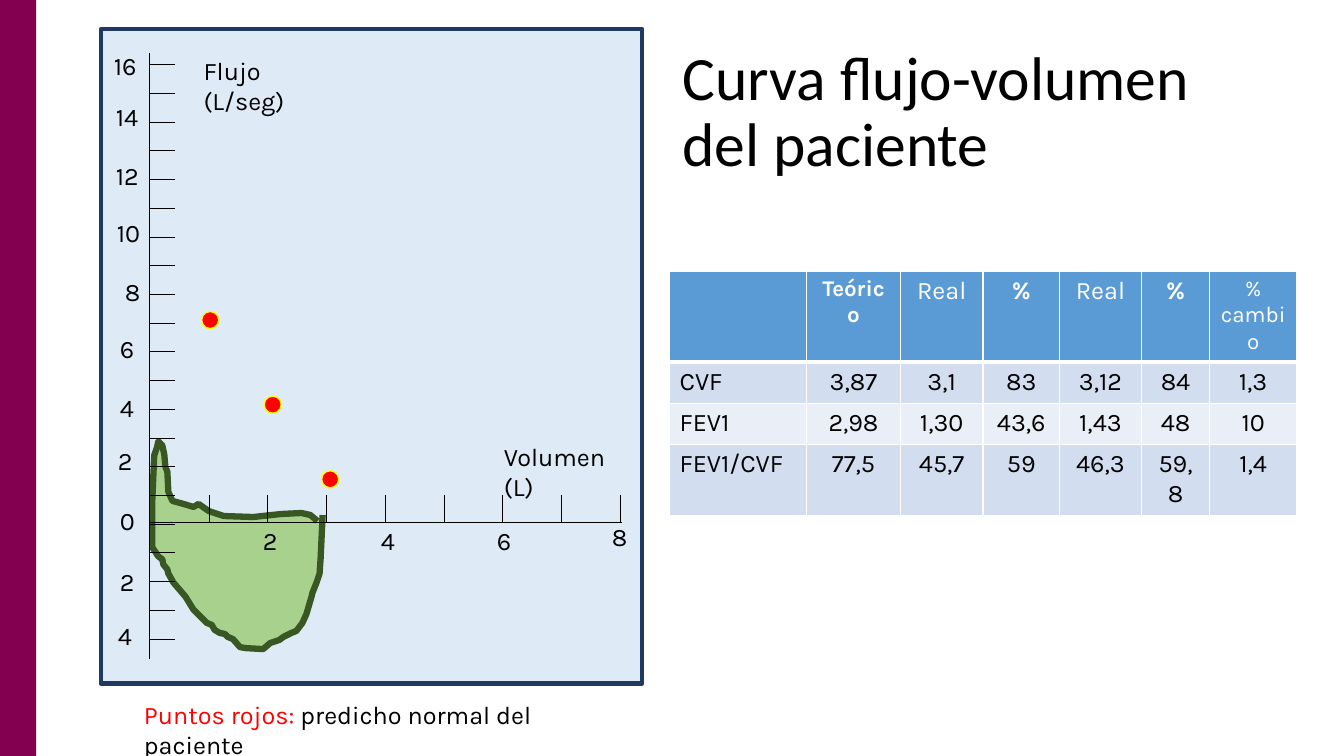
"""Builds a slide with a patient's flow-volume curve and a spirometry table."""
from lxml import etree
from pptx import Presentation
from pptx.dml.color import RGBColor
from pptx.enum.shapes import MSO_CONNECTOR, MSO_SHAPE
from pptx.enum.text import MSO_ANCHOR, MSO_AUTO_SIZE, PP_ALIGN
from pptx.oxml.ns import qn
from pptx.util import Pt

RECT, OVAL = MSO_SHAPE.RECTANGLE, MSO_SHAPE.OVAL
STRAIGHT = MSO_CONNECTOR.STRAIGHT
MIDDLE, GROW = MSO_ANCHOR.MIDDLE, MSO_AUTO_SIZE.SHAPE_TO_FIT_TEXT
LEFT, CENTER = PP_ALIGN.LEFT, PP_ALIGN.CENTER
BLACK = RGBColor(0, 0, 0)
WHITE = RGBColor(0xFF, 0xFF, 0xFF)
RED = RGBColor(0xFF, 0, 0)
YELLOW = RGBColor(0xFF, 0xFF, 0)
PLUM = RGBColor(0x83, 0, 0x51)
PALE = RGBColor(0xDE, 0xEB, 0xF7)
NAVY = RGBColor(0x20, 0x38, 0x64)
LIME = RGBColor(0xA9, 0xD1, 0x8E)
GREEN = RGBColor(0x38, 0x57, 0x23)
BLUE = RGBColor(0x5B, 0x9B, 0xD5)
BANDS = RGBColor(0xD2, 0xDE, 0xEF), RGBColor(0xEA, 0xEF, 0xF7)
PX = 9144

TITLE = "Curva flujo-volumen del paciente"
NOTE = [("Puntos rojos: ", RED), ("predicho normal del paciente", BLACK)]
NAMES = [("Flujo (L/seg)", 192, 50), ("Volumen (L)", 490, 433)]
MARKS = [
    ("16", 103, 45), ("14", 105, 96), ("12", 105, 154), ("10", 106, 211),
    ("8", 114, 269), ("6", 109, 326), ("4", 109, 384), ("2", 107, 437),
    ("0", 109, 496), ("2", 109, 557), ("4", 107, 610),
    ("2", 251, 516), ("4", 368, 516), ("6", 483, 516), ("8", 597, 512),
]
DOTS = [(200, 309), (319, 467), (262, 393)]
CURVE = [
    (320, 511), (319, 533), (318, 554), (317, 569), (314, 578), (310, 588),
    (309, 592), (304, 609), (300, 618), (297, 622), (294, 626), (289, 628),
    (281, 632), (277, 635), (268, 638), (261, 644), (243, 643), (238, 642),
    (231, 634), (226, 632), (223, 629), (218, 628), (213, 625), (210, 620),
    (205, 618), (199, 612), (195, 608), (192, 605), (184, 592), (172, 578),
    (167, 569), (166, 565), (162, 560), (161, 555), (157, 552), (151, 543),
    (151, 498), (153, 452), (156, 443), (157, 438), (161, 442), (163, 451),
    (164, 463), (166, 468), (167, 488), (171, 497), (182, 500), (192, 503),
    (197, 500), (207, 507), (222, 512), (251, 513), (279, 510), (299, 509),
    (308, 511), (309, 512), (315, 517),
]
HEAD = [
    ("", 16, True), ("Teórico", 16, True), ("Real", 18, False),
    ("%", 18, True), ("Real", 18, False), ("%", 18, True),
    ("% cambio", 16, False),
]
ROWS = [
    ["CVF", "3,87", "3,1", "83", "3,12", "84", "1,3"],
    ["FEV1", "2,98", "1,30", "43,6", "1,43", "48", "10"],
    ["FEV1/CVF", "77,5", "45,7", "59", "46,3", "59,8", "1,4"],
]
WIDTHS = [136, 93, 82, 76, 81, 68, 86]
ROW_H = 41

deck = Presentation()
deck.slide_width, deck.slide_height = 1333 * PX, 750 * PX
slide = deck.slides.add_slide(deck.slide_layouts[5])
shapes = slide.shapes


def emu(*sizes):
    return [round(size * PX) for size in sizes]


def write(frame, text, color=BLACK, size=18, font="Karla", bold=False,
          align=LEFT):
    """Add a run to the first paragraph of a text frame."""
    para = frame.paragraphs[0]
    para.alignment = align
    run = para.add_run()
    run.text = text
    run.font.name, run.font.size, run.font.bold = font, Pt(size), bold
    run.font.color.rgb = color


def paint(shape, fill, line=None, width=1):
    shape.shadow.inherit = False
    shape.fill.solid()
    shape.fill.fore_color.rgb = fill
    if line is None:
        shape.line.fill.background()
    else:
        shape.line.color.rgb = line
        shape.line.width = Pt(width)


def rule(x1, y1, x2, y2):
    line = shapes.add_connector(STRAIGHT, *emu(x1, y1, x2, y2))
    line.line.color.rgb = BLACK
    line.line.width = Pt(0.5)
    etree.SubElement(line._element.spPr, qn("a:effectLst"))


def label(runs, x, y, width):
    frame = shapes.add_textbox(*emu(x, y, width, 40)).text_frame
    frame.word_wrap = True
    frame.auto_size = GROW
    for text, color in runs:
        write(frame, text, color)


def edge(cell, foot):
    """Give a cell white borders, with a set width at the foot."""
    props = cell._tc.get_or_add_tcPr()
    sides = [("lnL", 1), ("lnR", 1), ("lnT", 1), ("lnB", foot)]
    for spot, (side, width) in enumerate(sides):
        line = etree.Element(qn("a:" + side), w=str(Pt(width)))
        fill = etree.SubElement(line, qn("a:solidFill"))
        etree.SubElement(fill, qn("a:srgbClr"), val=str(WHITE))
        props.insert(spot, line)


def fill_cell(cell, text, back, foot=1, **style):
    cell.fill.solid()
    cell.fill.fore_color.rgb = back
    edge(cell, foot)
    if text:
        write(cell.text_frame, text, **style)


def draw_plot():
    paint(shapes.add_shape(RECT, *emu(100, 29, 537, 649)), PALE, NAVY, 3)
    path = shapes.build_freeform(*CURVE[0], scale=PX)
    path.add_line_segments(CURVE[1:], close=False)
    paint(path.convert_to_shape(), LIME, GREEN, 4.5)
    rule(148, 53, 148, 654)
    rule(149, 518, 617, 518)
    for step in range(21):
        y = 64 + 28.5 * step
        rule(149, y, 174, y)
    for step in range(1, 9):
        x = 149 + 58.25 * step
        rule(x, 491, x, 518)
    for text, x, y in NAMES:
        label([(text, BLACK)], x, y, 151)
    for text, x, y in MARKS:
        label([(text, BLACK)], x, y, 49)
    for x, y in DOTS:
        paint(shapes.add_shape(OVAL, *emu(x, y, 17, 17)), RED, YELLOW)
    label(NOTE, 133, 689, 480)


def draw_table():
    count = len(ROWS) + 1
    box = emu(664, 269, sum(WIDTHS), ROW_H * count)
    table = shapes.add_table(count, len(WIDTHS), *box).table
    for row in table.rows:
        row.height = ROW_H * PX
    for col, width in enumerate(WIDTHS):
        table.columns[col].width = width * PX
        text, size, bold = HEAD[col]
        fill_cell(table.cell(0, col), text, BLUE, 3, color=WHITE,
                  size=size, bold=bold, align=CENTER)
        for row, cells in enumerate(ROWS):
            fill_cell(table.cell(row + 1, col), cells[col], BANDS[row % 2],
                      align=CENTER if col else LEFT)


def main():
    paint(shapes.add_shape(RECT, *emu(0, 0, 36, 750)), PLUM)
    title = shapes.title
    title.left, title.top, title.width, title.height = emu(667, 40, 575, 145)
    title.text_frame.vertical_anchor = MIDDLE
    write(title.text_frame, TITLE, size=44, font="Calibri")
    title.text_frame.paragraphs[0].line_spacing = 0.9
    draw_plot()
    draw_table()
    deck.save("out.pptx")


if __name__ == "__main__":
    main()
